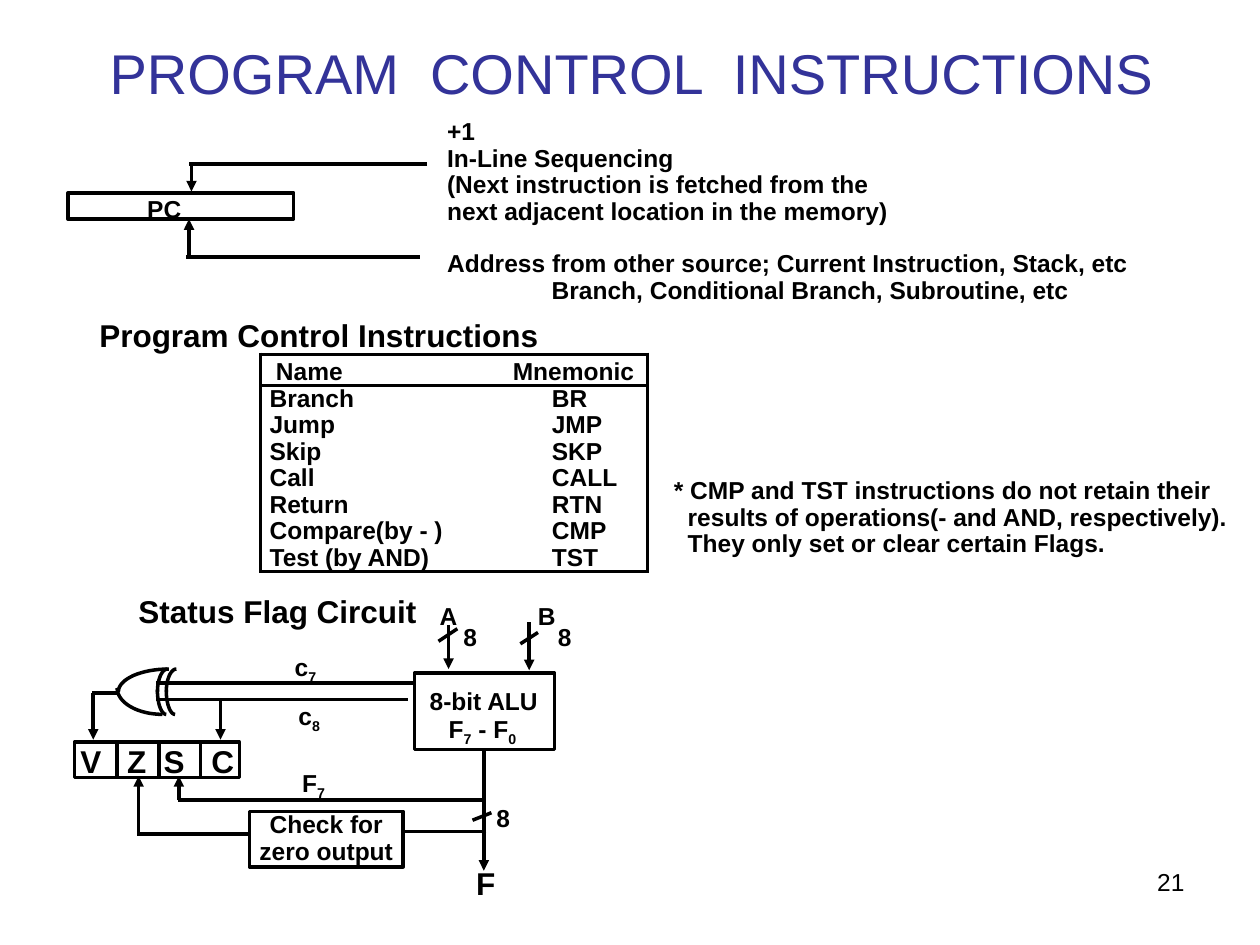
import math
from lxml import etree
from pptx import Presentation, util as u
from pptx.dml import color as dml
from pptx.enum import text
from pptx.enum.shapes import MSO_CONNECTOR, MSO_SHAPE
from pptx.oxml import ns

HUES = {"ink": "000000", "title": "333399"}
LEFT, MID, RIGHT = text.PP_ALIGN.LEFT, text.PP_ALIGN.CENTER, text.PP_ALIGN.RIGHT
INK = dml.RGBColor.from_string(HUES["ink"])

deck = Presentation()
deck.slide_width, deck.slide_height = u.Inches(10), u.Inches(7.5)
slide = deck.slides.add_slide(deck.slide_layouts[6])
parts = slide.shapes


def label(x, y, w, h, lines, size=14, align=LEFT, bold=True, hue="ink", space=0.9):
    box = parts.add_textbox(*map(u.Inches, (x, y, w, h)))
    frame = box.text_frame
    frame.word_wrap = False
    for i, line in enumerate(lines.split("\n")):
        para = frame.paragraphs[0] if i == 0 else frame.add_paragraph()
        para.alignment, para.line_spacing = align, space
        for j, piece in enumerate(line.split("_")):
            run = para.add_run()
            run.text = piece
            run.font.size, run.font.bold, run.font.name = u.Pt(size), bold, "Arial"
            run.font.color.rgb = dml.RGBColor.from_string(HUES[hue])
            if j % 2:
                run.font._element.set("baseline", "-25000")
    return frame


def wire(x1, y1, x2, y2, arrow=False):
    line = parts.add_connector(MSO_CONNECTOR.STRAIGHT, *map(u.Inches, (x1, y1, x2, y2)))
    line.line.color.rgb, line.line.width = INK, u.Pt(2)
    if arrow:
        etree.SubElement(line.line._get_or_add_ln(), ns.qn("a:tailEnd"), type="triangle")
    etree.SubElement(line._element.spPr, ns.qn("a:effectLst"))


title = label(0.67, 0.17, 8.69, 0.8, "PROGRAM  CONTROL  INSTRUCTIONS", 32, MID, False, "title", 1)
title.vertical_anchor = text.MSO_ANCHOR.MIDDLE
label(7.17, 6.83, 2.33, 0.52, "21", 14, RIGHT, False, space=1)

frames = [
    (0.54, 1.53, 1.79, 0.21),
    (3.29, 5.34, 1.11, 0.61),
    (1.98, 6.44, 1.22, 0.44),
    (0.59, 5.89, 1.31, 0.28),
]
for spot in frames:
    box = parts.add_shape(MSO_SHAPE.RECTANGLE, *map(u.Inches, spot))
    box.shadow.inherit = False
    box.fill.background()
    box.line.color.rgb, box.line.width = INK, u.Pt(2)

wires = [
    (3.39, 1.3, 1.5, 1.3), (3.33, 2.04, 1.48, 2.04),
    (3.29, 5.42, 1.24, 5.42), (1.24, 5.55, 3.24, 5.55),
    (3.48, 5.09, 3.63, 4.99), (4.13, 5.11, 4.27, 5.02), (3.9, 6.45, 3.75, 6.51),
    (3.83, 6.35, 1.41, 6.35), (3.86, 6.6, 3.21, 6.6),
    (0.93, 5.5, 0.73, 5.5), (1.98, 6.62, 1.09, 6.62),
]
for ends in wires:
    wire(*ends)
for x in (0.93, 1.26, 1.59):
    wire(x, 5.89, x, 6.17)
arrows = [
    (1.52, 1.31, 1.52), (1.5, 2.05, 1.74), (3.56, 4.96, 5.31), (4.2, 4.94, 5.32),
    (0.74, 5.5, 5.87), (1.75, 5.56, 5.87), (1.42, 6.35, 6.16), (1.1, 6.63, 6.16),
    (3.84, 5.96, 6.91),
]
for x, start, end in arrows:
    wire(x, start, x, end, True)

arcs = [
    (0.94, 5.49, 1.34, 5.31), (0.93, 5.46, 1.29, 5.67),
    (1.25, 5.49, 1.33, 5.31), (1.25, 5.48, 1.32, 5.67),
    (1.32, 5.49, 1.4, 5.31), (1.32, 5.48, 1.39, 5.67),
]
steps = 16
for x1, y1, x2, y2 in arcs:
    dots = []
    for i in range(steps + 1):
        turn = math.pi / 2 * i / steps
        dots.append((u.Inches(x2 - (x2 - x1) * math.cos(turn)),
                     u.Inches(y1 + (y2 - y1) * math.sin(turn))))
    pen = parts.build_freeform(*dots[0], scale=1.0)
    pen.add_line_segments(dots[1:], close=False)
    arc = pen.convert_to_shape()
    arc.shadow.inherit = False
    arc.fill.background()
    arc.line.color.rgb, arc.line.width = INK, u.Pt(2)

info = label(3.45, 0.9, 6.55, 1.57, """+1
In-Line Sequencing
(Next instruction is fetched from the
next adjacent location in the memory)
Address from other source; Current Instruction, Stack, etc
Branch, Conditional Branch, Subroutine, etc""")
info.word_wrap = True
info.paragraphs[4].space_before = u.Pt(15)
info.paragraphs[5]._p.get_or_add_pPr().set("marL", str(u.Inches(0.83)))

note = label(5.25, 3.75, 4.6, 0.73, """* CMP and TST instructions do not retain their
results of operations(- and AND, respectively).
They only set or clear certain Flags.""")
for para in note.paragraphs[1:]:
    para._p.get_or_add_pPr().set("marL", str(u.Inches(0.11)))

head = label(0.69, 2.49, 4.2, 0.37, "Program Control Instructions", 18)
head.word_wrap = True
label(1, 4.68, 2.41, 0.37, "Status Flag Circuit", 18)
label(3.68, 6.84, 0.35, 0.37, "F", 18)
for x, flag in zip((0.54, 0.91, 1.2, 1.58), "VZSC"):
    label(x, 5.87, 0.38, 0.37, flag, 18)
tags = [
    (1.07, 1.52, 0.47, "PC"), (2.24, 5.13, 0.37, "c_7"), (2.27, 5.52, 0.37, "c_8"),
    (2.3, 6.05, 0.38, "F_7"), (3.39, 4.75, 0.34, "A"), (4.17, 4.75, 0.34, "B"),
    (3.58, 4.91, 0.31, "8"), (4.33, 4.91, 0.31, "8"), (3.84, 6.35, 0.31, "8"),
]
for x, y, w, tag in tags:
    label(x, y, w, 0.31, tag)
label(3.31, 5.42, 1.06, 0.31, "8-bit ALU", align=MID)
label(3.46, 5.62, 0.74, 0.34, "F_7_ - F_0", align=MID)
label(1.96, 6.4, 1.26, 0.52, "Check for\nzero output", align=MID)

rows = [
    ("Name", "Mnemonic"), ("Branch", "BR"), ("Jump", "JMP"), ("Skip", "SKP"),
    ("Call", "CALL"), ("Return", "RTN"), ("Compare(by - )", "CMP"), ("Test (by AND)", "TST"),
]
last = len(rows) - 1
table = parts.add_table(len(rows), 2, *map(u.Inches, (2.07, 2.81, 3.07, 1.73))).table
table.columns[0].width, table.columns[1].width = u.Inches(1.93), u.Inches(1.14)
for r, row in enumerate(rows):
    table.rows[r].height = u.Inches(0.21 if r else 0.25)
    for c, word in enumerate(row):
        cell = table.cell(r, c)
        cell.text_frame.text = word
        cell.margin_top = cell.margin_bottom = cell.margin_right = 0
        cell.margin_left = u.Inches(((0.12, 0.07), (0.07, 0.38))[r > 0][c])
        cell.vertical_anchor = text.MSO_ANCHOR.BOTTOM
        para = cell.text_frame.paragraphs[0]
        para.line_spacing = 0.9
        font = para.runs[0].font
        font.name, font.size, font.bold, font.color.rgb = "Arial", u.Pt(14), True, INK
        props = cell._tc.get_or_add_tcPr()
        edges = {"L": c == 0, "R": c == 1, "T": r < 2, "B": r in (0, last)}
        for side, shown in edges.items():
            edge = etree.SubElement(props, ns.qn("a:ln" + side), w=str(u.Pt(2)))
            if shown:
                fill = etree.SubElement(edge, ns.qn("a:solidFill"))
                etree.SubElement(fill, ns.qn("a:srgbClr"), val=HUES["ink"])
            else:
                etree.SubElement(edge, ns.qn("a:noFill"))
        cell.fill.background()

deck.save("out.pptx")
